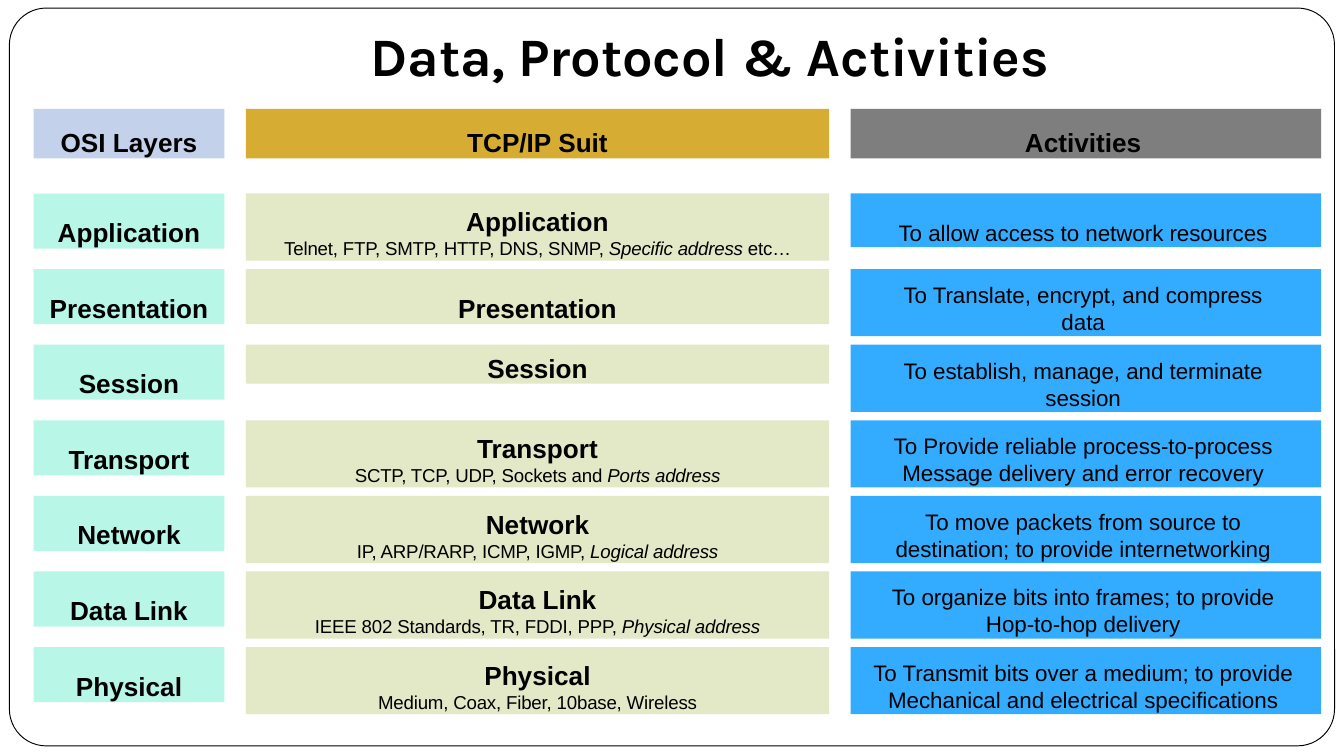
from lxml import etree
from pptx import Presentation, util as u
from pptx.dml.color import RGBColor
from pptx.enum import shapes, text
from pptx.oxml import ns

HUES = {
    "ink": "000000", "paper": "FFFFFF",
    "layer head": "B6C6E6", "suite head": "CC9800", "task head": "5E5E5E",
    "layer": "A7F5E2", "suite": "DDE3B9", "task": "0098FF",
}
# Left edge, width and right inset of each column
COLS = {"layer": (0.25, 1.42, 0), "suite": (1.83, 4.34, 0), "task": (6.33, 3.5, 0.04)}
HEADS = {"layer": "OSI Layers", "suite": "TCP/IP Suit", "task": "Activities"}
WIDE = 10
TOP, PITCH = 1.44, 9 / 16

# Layer, protocols, address (italic), ending, activity
ROWS = [
    ("Application", "Telnet, FTP, SMTP, HTTP, DNS, SNMP, ", "Specific address ", "etc…",
     "To allow access to network resources"),
    ("Presentation", "", "", "", "To Translate, encrypt, and compress\vdata"),
    ("Session", "", "", "", "To establish, manage, and terminate\vsession"),
    ("Transport", "SCTP, TCP, UDP, Sockets and ", "Ports address", "",
     "To Provide reliable process-to-process\vMessage delivery and error recovery"),
    ("Network", "IP, ARP/RARP, ICMP, IGMP, ", "Logical address", "",
     "To move packets from source to\vdestination; to provide internetworking"),
    ("Data Link", "IEEE 802 Standards, TR, FDDI, PPP, ", "Physical address", "",
     "To organize bits into frames; to provide\vHop-to-hop delivery"),
    ("Physical", "Medium, Coax, Fiber, 10base, Wireless", "", "",
     "To Transmit bits over a medium; to provide\vMechanical and electrical specifications"),
]
# Suite boxes without protocols: height and top inset
BARE = {"Presentation": (0.41, 0.17), "Session": (0.29, 0.06)}


def write(para, words, size=14, bold=False, italic=False, face="Arial", track=0):
    """Add runs to a paragraph; a vertical tab breaks the line, track is in points."""
    for n, part in enumerate(words.split("\v")):
        if n:
            para.add_line_break()
        run = para.add_run()
        run.text = part
        font = run.font
        font.size, font.bold, font.italic, font.name = u.Pt(size), bold, italic, face
        font.color.rgb = RGBColor.from_string(HUES["ink"])
        if track:
            run._r.get_or_add_rPr().set("spc", str(round(track * 100)))


class Board:
    """Holds the slide and the common look of its boxes."""

    def __init__(self, slide, alpha=80):
        self.slide, self.alpha = slide, alpha

    def shape(self, kind, left, top, width, height, hue):
        item = self.slide.shapes.add_shape(kind, *map(u.Inches, (left, top, width, height)))
        item.shadow.inherit = False
        item.fill.solid()
        item.fill.fore_color.rgb = RGBColor.from_string(HUES[hue])
        item.line.fill.background()
        return item

    def frame(self):
        item = self.shape(shapes.MSO_SHAPE.ROUNDED_RECTANGLE, 0.07, 0.06, 9.86, 5.49, "paper")
        item.adjustments[0] = 0.05
        item.line.color.rgb = RGBColor.from_string(HUES["ink"])
        item.line.width = u.Pt(0.5)

    def setup(self, item, inset, anchor, right=0):
        body = item.text_frame
        body.word_wrap = True
        body.vertical_anchor = anchor
        body.margin_left = body.margin_bottom = 0
        body.margin_top, body.margin_right = u.Inches(inset), u.Inches(right)
        return body

    def title(self, words):
        item = self.slide.shapes.add_textbox(*map(u.Inches, (2.76, 0.15, 5.25, 0.5)))
        body = self.setup(item, 0.01, text.MSO_ANCHOR.BOTTOM)
        write(body.paragraphs[0], words, size=29, bold=True, face="Karla", track=-0.15)

    def box(self, col, top, height, inset, hue):
        """Draw a see-through box in a column and return its text frame."""
        left, width, right = COLS[col]
        item = self.shape(shapes.MSO_SHAPE.RECTANGLE, left, top, width, height, hue)
        tint = item._element.spPr.find(ns.qn("a:solidFill"))[0]
        etree.SubElement(tint, ns.qn("a:alpha")).set("val", str(self.alpha * 1000))
        body = self.setup(item, inset, text.MSO_ANCHOR.TOP, right)
        body.paragraphs[0].alignment = text.PP_ALIGN.CENTER
        return body

    def row(self, top, name, list_, address, end, task):
        body = self.box("layer", top, 0.41, 0.17, "layer")
        write(body.paragraphs[0], name, bold=True)

        height, inset = BARE.get(name, (0.5, 0.09))
        body = self.box("suite", top, height, inset, "suite")
        write(body.paragraphs[0], name, bold=True)
        if list_:
            para = body.add_paragraph()
            para.alignment = text.PP_ALIGN.CENTER
            for words, slant in ((list_, False), (address, True), (end, False)):
                if words:
                    write(para, words, size=10, italic=slant, track=-0.08)

        height, inset = (0.5, 0.09) if "\v" in task else (0.4, 0.19)
        body = self.box("task", top, height, inset, "task")
        write(body.paragraphs[0], task, size=12, track=-0.04)


def main():
    deck = Presentation()
    deck.slide_width, deck.slide_height = u.Inches(WIDE), u.Inches(WIDE * 9 / 16)
    board = Board(deck.slides.add_slide(deck.slide_layouts[6]))
    board.frame()
    board.title("Data, Protocol & Activities")
    for col, words in HEADS.items():
        body = board.box(col, 0.81, 0.37, 0.13, col + " head")
        write(body.paragraphs[0], words, bold=True)
    for n, row in enumerate(ROWS):
        board.row(TOP + n * PITCH, *row)
    deck.save("out.pptx")


if __name__ == "__main__":
    main()
